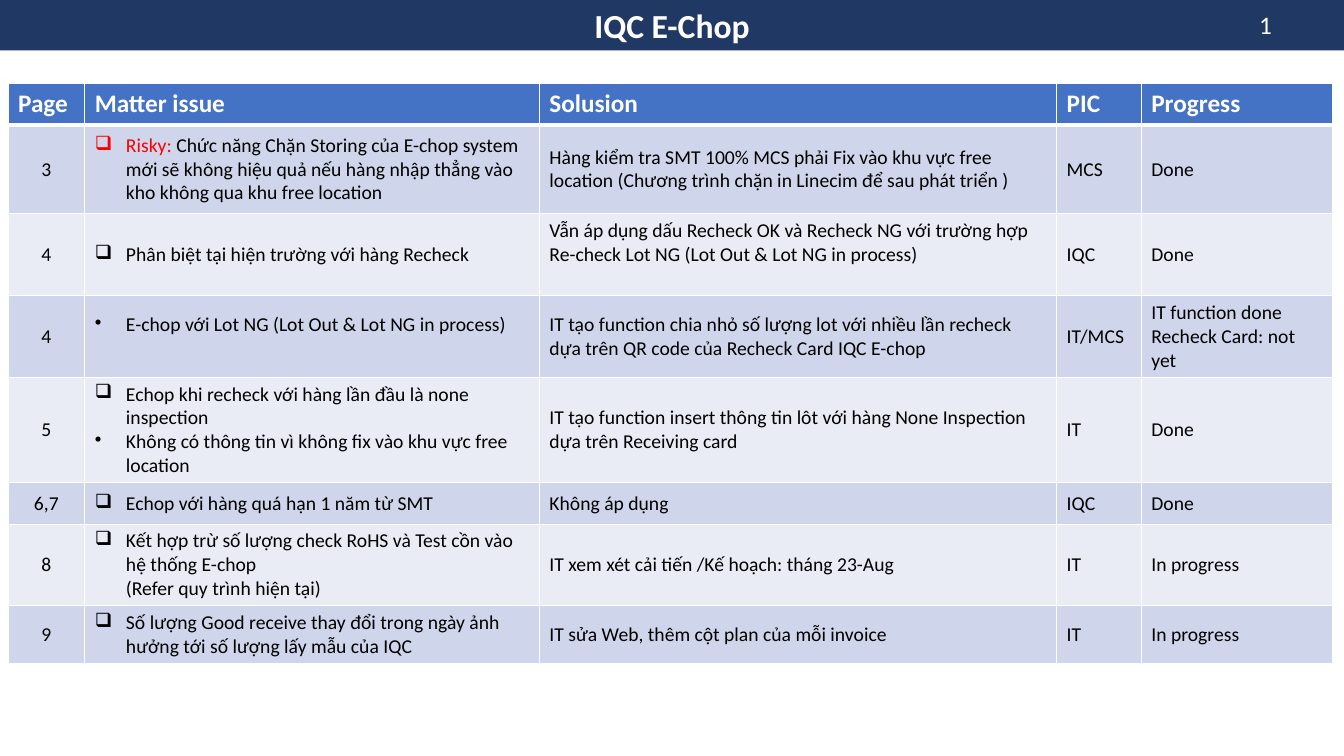
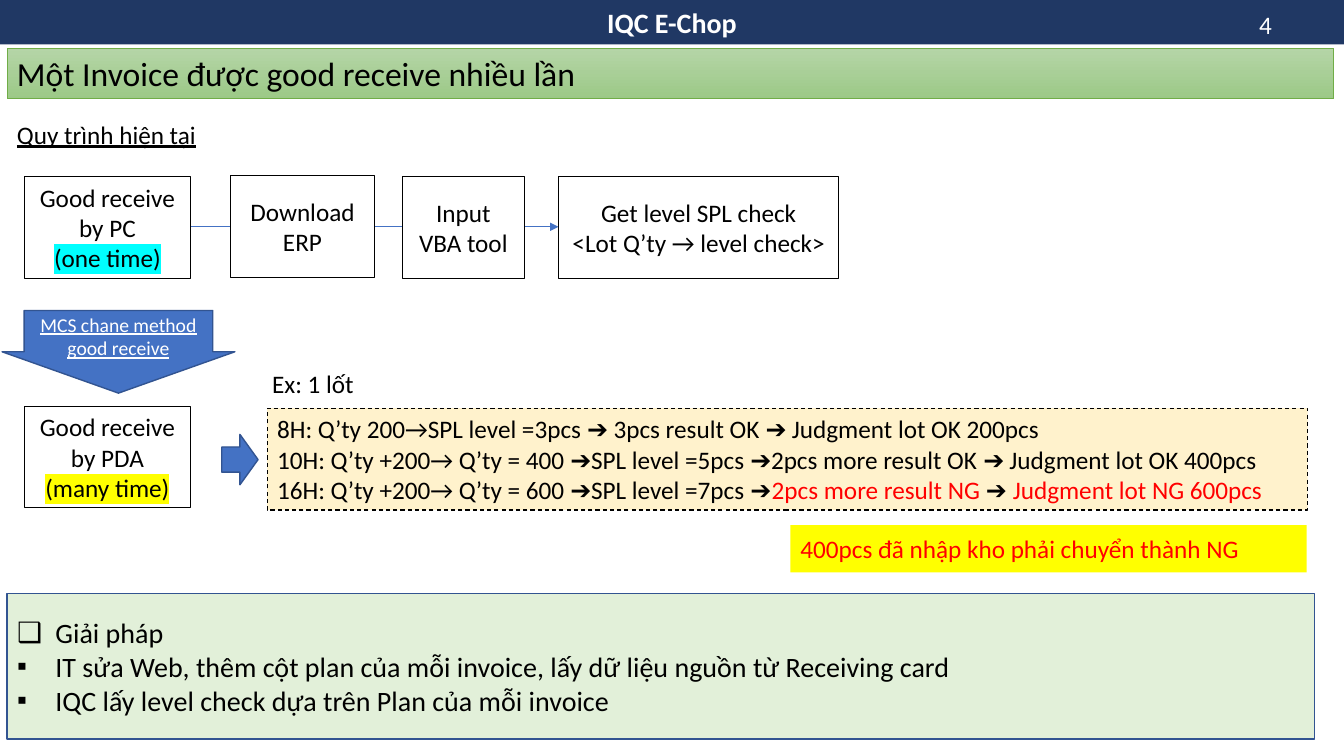
from lxml.etree import SubElement
from pptx import Presentation
from pptx.dml.color import RGBColor
from pptx.enum.dml import MSO_LINE
from pptx.enum.shapes import MSO_CONNECTOR, MSO_SHAPE
from pptx.enum.text import MSO_ANCHOR, MSO_AUTO_SIZE, PP_ALIGN
from pptx.oxml.ns import qn
from pptx.util import Emu, Pt

PX = 9144
FONT = "Calibri"
BLACK, WHITE, RED, YELLOW, CYAN = "000000", "FFFFFF", "FF0000", "FFFF00", "00FFFF"
NAVY, BLUE, DARK_BLUE = "203864", "4472C4", "325491"
BANDS = "E9EBF5", "CFD5EA"
CENTER = PP_ALIGN.CENTER
TITLE = "IQC E-Chop"

CHECK = {"bullet": "❑", "indent": 31}
DOT = {"bullet": "•", "indent": 31}
LIFTED = {"lift": 24}
COLUMNS = 76, 451, 513, 84, 190
ROWS = 41, 88, 81, 81, 102, 41, 81, 56
HEADINGS = "Page", "Matter issue", "Solusion", "PIC", "Progress"
ISSUES = [
    ("3",
     [("Risky: ", {**CHECK, "color": RED}),
      ("Chức năng Chặn Storing của E-chop system mới sẽ không hiệu quả nếu "
       "hàng nhập thẳng vào kho không qua khu free location", {"same_line": True})],
     "Hàng kiểm tra SMT 100% MCS phải Fix vào khu vực free location "
     "(Chương trình chặn in Linecim để sau phát triển )",
     "MCS", "Done"),
    ("4",
     [("Phân biệt tại hiện trường với hàng Recheck", CHECK)],
     [("Vẫn áp dụng dấu Recheck OK và Recheck NG với trường hợp "
       "Re-check Lot NG (Lot Out & Lot NG in process)", LIFTED)],
     "IQC", "Done"),
    ("4",
     [("E-chop với Lot NG (Lot Out & Lot NG in process)", {**DOT, **LIFTED})],
     "IT tạo function chia nhỏ số lượng lot với nhiều lần recheck "
     "dựa trên QR code của Recheck Card IQC E-chop",
     "IT/MCS", [("IT function done", {}), ("Recheck Card: not yet", {})]),
    ("5",
     [("Echop khi recheck với hàng lần đầu là none inspection", CHECK),
      ("Không có thông tin vì không fix vào khu vực free location", DOT)],
     "IT tạo function insert thông tin lôt với hàng None Inspection "
     "dựa trên Receiving card",
     "IT", "Done"),
    ("6,7",
     [("Echop với hàng quá hạn 1 năm từ SMT", CHECK)],
     "Không áp dụng", "IQC", "Done"),
    ("8",
     [("Kết hợp trừ số lượng check RoHS và Test cồn vào hệ thống E-chop", CHECK),
      ("(Refer quy trình hiện tại)", {"indent": 31})],
     "IT xem xét cải tiến /Kế hoạch: tháng 23-Aug", "IT", "In progress"),
    ("9",
     [("Số lượng Good receive thay đổi trong ngày ảnh hưởng tới "
       "số lượng lấy mẫu của IQC", CHECK)],
     "IT sửa Web, thêm cột plan của mỗi invoice", "IT", "In progress"),
]


def px(*lengths):
    """Turn px lengths into EMU."""
    return [Emu(length * PX) for length in lengths]


def rgb(value):
    """Turn a hex string into a colour."""
    return RGBColor.from_string(value)


def write(frame, text, size=18, color=BLACK, bold=False, underline=False,
          highlight=None, align=PP_ALIGN.LEFT, bullet=None, indent=0, same_line=False):
    """Add formatted text to a frame, as a new paragraph unless same_line is set."""
    para = frame.paragraphs[-1]
    if not same_line:
        if para.runs:
            para = frame.add_paragraph()
        properties = para._p.get_or_add_pPr()
        properties.set("marL", str(indent * PX))
        properties.set("indent", str(-indent * PX if bullet else 0))
        if bullet:
            SubElement(properties, qn("a:buChar"), char=bullet)
        else:
            SubElement(properties, qn("a:buNone"))
        para.alignment = align
        para.space_before = Pt(0)
    span = para.add_run()
    span.text = text
    font = span.font
    font.name, font.size, font.bold, font.underline = FONT, Pt(size), bold, underline
    font.color.rgb = rgb(color)
    if highlight:
        mark = SubElement(span._r.rPr, qn("a:highlight"))
        SubElement(mark, qn("a:srgbClr"), val=highlight)
        span._r.rPr.find(qn("a:solidFill")).addnext(mark)


def prepare(frame, side=10, top=5, anchor=MSO_ANCHOR.MIDDLE):
    """Set the wrapping, insets and anchor of a text frame."""
    frame.word_wrap = True
    frame.auto_size = MSO_AUTO_SIZE.NONE
    frame.vertical_anchor = anchor
    frame.margin_left, frame.margin_right, frame.margin_top, frame.margin_bottom = px(
        side, side, top, top)
    return frame


def paint(box, fill=None, line=None, width=0.75):
    """Set the fill and outline of a shape."""
    if fill:
        box.fill.solid()
        box.fill.fore_color.rgb = rgb(fill)
    else:
        box.fill.background()
    if line:
        box.line.color.rgb = rgb(line)
        box.line.width = Pt(width)
    else:
        box.line.fill.background()


def place(box, *bounds):
    """Move and size a placeholder."""
    box.left, box.top, box.width, box.height = px(*bounds)


def add_box(page, bounds, fill=None, line=None, width=0.75, kind=MSO_SHAPE.RECTANGLE):
    """Add a preset shape without a shadow."""
    box = page.shapes.add_shape(kind, *px(*bounds))
    box.shadow.inherit = False
    paint(box, fill, line, width)
    prepare(box.text_frame)
    return box


def add_label(page, bounds, text, **style):
    """Add one line of plain text."""
    box = page.shapes.add_textbox(*px(*bounds))
    write(prepare(box.text_frame), text, **style)


def add_step(page, bounds, *lines, side=10, highlight=None):
    """Add an outlined process step, with its last line optionally highlighted."""
    box = add_box(page, bounds, WHITE, BLACK)
    frame = prepare(box.text_frame, side)
    for line in lines:
        write(frame, line, align=CENTER, highlight=highlight if line == lines[-1] else None)


def add_arrow(page, left, right, y):
    """Add a thin horizontal connector with an arrowhead."""
    arrow = page.shapes.add_connector(MSO_CONNECTOR.STRAIGHT, *px(left, y, right, y))
    arrow.line.color.rgb = rgb(BLUE)
    arrow.line.width = Pt(0.5)
    SubElement(arrow.line._get_or_add_ln(), qn("a:tailEnd"), type="triangle")
    SubElement(arrow._element.spPr, qn("a:effectLst"))


def add_page(deck, layout, number, band_height, title_size):
    """Add a slide with the navy title band and its page number."""
    page = deck.slides.add_slide(deck.slide_layouts[layout])
    title = page.shapes.title
    place(title, 0, 0, 1333, band_height)
    paint(title, NAVY)
    write(prepare(title.text_frame), TITLE, size=title_size, color=WHITE, bold=True, align=CENTER)
    add_label(page, (1239, 4, 72, 40), number, color=WHITE)
    return page


def border_cell(cell, top, bottom):
    """Give a cell white borders, with the top and bottom widths in points."""
    properties = cell._tc.get_or_add_tcPr()
    for side, width in (("L", 1), ("R", 1), ("T", top), ("B", bottom)):
        line = SubElement(properties, qn("a:ln" + side), w=str(Pt(width)))
        SubElement(SubElement(line, qn("a:solidFill")), qn("a:srgbClr"), val=WHITE)


def fill_cell(cell, content, fill, **style):
    """Fill a cell and write its text, given as a string or as formatted parts."""
    cell.fill.solid()
    cell.fill.fore_color.rgb = rgb(fill)
    parts = [(content, {})] if isinstance(content, str) else content
    for text, extra in parts:
        own = {**style, **extra}
        cell.margin_bottom, = px(5 + own.pop("lift", 0))
        write(cell.text_frame, text, **own)


def add_issue_table(page):
    """Add the table of issues, solutions and progress."""
    table = page.shapes.add_table(
        len(ROWS), len(COLUMNS), *px(8, 83, sum(COLUMNS), sum(ROWS))).table
    for column, width in zip(table.columns, px(*COLUMNS)):
        column.width = width
    for row, height in zip(table.rows, px(*ROWS)):
        row.height = height
    for r, contents in enumerate([HEADINGS, *ISSUES]):
        for c, content in enumerate(contents):
            cell = table.cell(r, c)
            border_cell(cell, 3 if r == 1 else 1, 3 if r == 0 else 1)
            if r == 0:
                fill_cell(cell, content, BLUE, color=WHITE, bold=True)
            else:
                cell.vertical_anchor = MSO_ANCHOR.MIDDLE
                align = CENTER if c == 0 else PP_ALIGN.LEFT
                fill_cell(cell, content, BANDS[r % 2], size=14, align=align)


def add_heading(page, text):
    """Add the green gradient heading bar."""
    bar = add_box(page, (7, 48, 1316, 50), line="70AD47", width=0.5)
    bar.fill.gradient()
    bar.fill.gradient_angle = 270
    for stop, color in zip(bar.fill.gradient_stops, ("B5D5A7", "9CC987")):
        stop.color.rgb = rgb(color)
    write(bar.text_frame, text, size=24)


def add_change_arrows(page):
    """Add the block arrows that lead to the new method."""
    down = add_box(page, (2, 308, 231, 82), BLUE, DARK_BLUE, 1, MSO_SHAPE.DOWN_ARROW)
    down.adjustments[0], down.adjustments[1] = 0.81, 0.5
    frame = prepare(down.text_frame, 0, 2, MSO_ANCHOR.TOP)
    write(frame, "MCS chane method good receive", size=14, color=WHITE,
          underline=True, align=CENTER)
    add_box(page, (220, 431, 36, 50), BLUE, DARK_BLUE, 1, MSO_SHAPE.RIGHT_ARROW)


def add_example(page):
    """Add the worked example of one lot received in three parts."""
    add_label(page, (260, 360, 111, 40), "Ex: 1 lốt")
    box = add_box(page, (265, 405, 1032, 101), "FFF2CC", BLACK)
    box.line.dash_style = MSO_LINE.DASH
    frame = box.text_frame
    write(frame, "8H: Q’ty 200→SPL level =3pcs ➔ 3pcs result OK ➔ Judgment lot OK 200pcs")
    write(frame, "10H: Q’ty +200→ Q’ty = 400 ➔SPL level =5pcs ➔2pcs more result OK "
                 "➔ Judgment lot OK 400pcs")
    write(frame, "16H: Q’ty +200→ Q’ty = 600 ➔SPL level =7pcs ➔")
    write(frame, "2pcs more result NG ", color=RED, same_line=True)
    write(frame, "➔ ", same_line=True)
    write(frame, "Judgment lot NG 600pcs", color=RED, same_line=True)
    warning = add_box(page, (784, 521, 512, 47), YELLOW)
    write(warning.text_frame, "400pcs đã nhập kho phải chuyển thành NG", color=RED)


def add_solution(page):
    """Format the body placeholder as the solution list."""
    body = page.placeholders[1]
    place(body, 7, 589, 1297, 144)
    paint(body, "E2F0D9", DARK_BLUE, 1)
    frame = prepare(body.text_frame)
    for bullet, text in (
            ("❑", "Giải pháp"),
            ("▪", "IT sửa Web, thêm cột plan của mỗi invoice, lấy dữ liệu nguồn từ Receiving card"),
            ("▪", "IQC lấy level check dựa trên Plan của mỗi invoice")):
        write(frame, text, size=20, bullet=bullet, indent=38)


def main():
    """Build and save the deck."""
    deck = Presentation()
    deck.slide_width, deck.slide_height = px(1333, 750)

    add_issue_table(add_page(deck, 5, "1", 50, 24))

    page = add_page(deck, 1, "4", 44, 20)
    add_heading(page, "Một Invoice được good receive nhiều lần")
    add_label(page, (7, 113, 220, 40), "Quy trình hiện tại", underline=True)
    add_arrow(page, 189, 554, 225)
    add_step(page, (24, 175, 165, 101), "Good receive by PC", "(one time)", highlight=CYAN)
    add_step(page, (229, 174, 142, 101), "Download ERP")
    add_step(page, (399, 175, 121, 101), "Input VBA tool", side=13)
    add_step(page, (554, 175, 278, 101), "Get level SPL check", "<Lot Q’ty → level check>")
    add_step(page, (24, 403, 165, 101), "Good receive by PDA", "(many time)", highlight=YELLOW)
    add_change_arrows(page)
    add_example(page)
    add_solution(page)
    deck.save("out.pptx")


if __name__ == "__main__":
    main()
